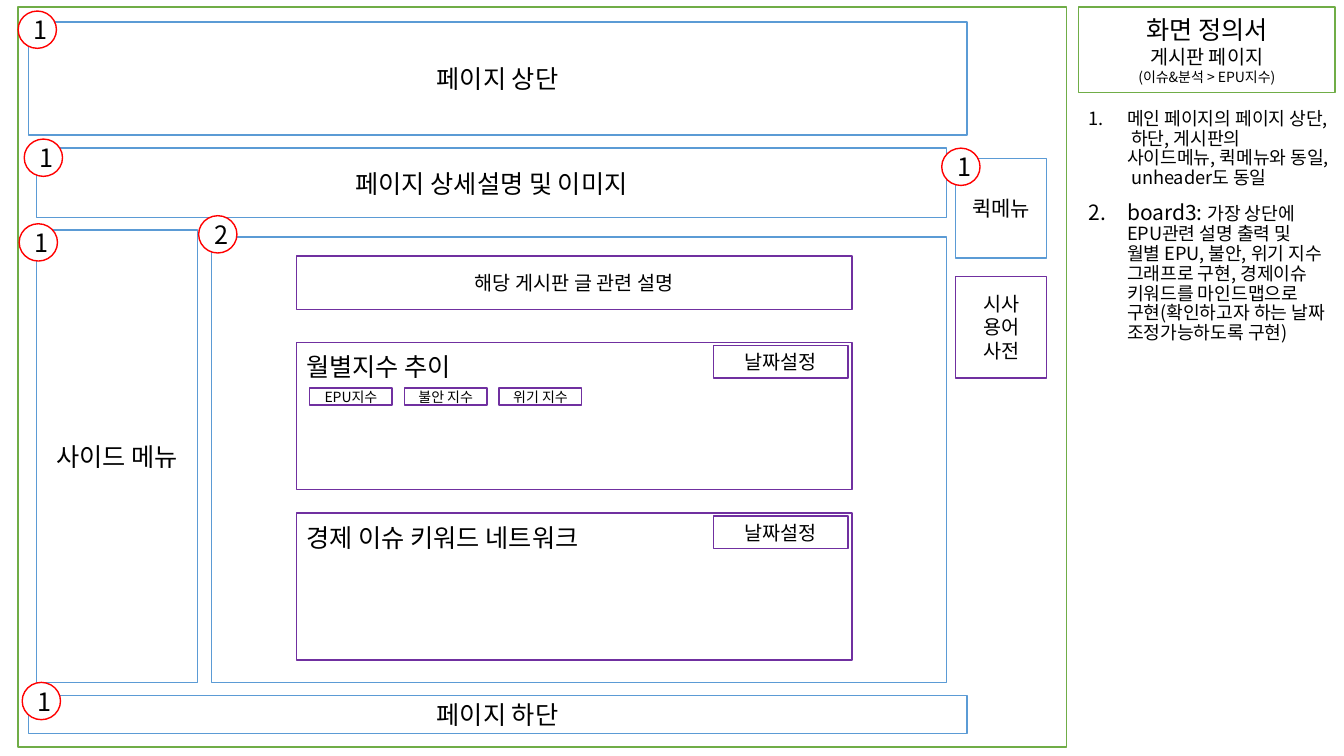
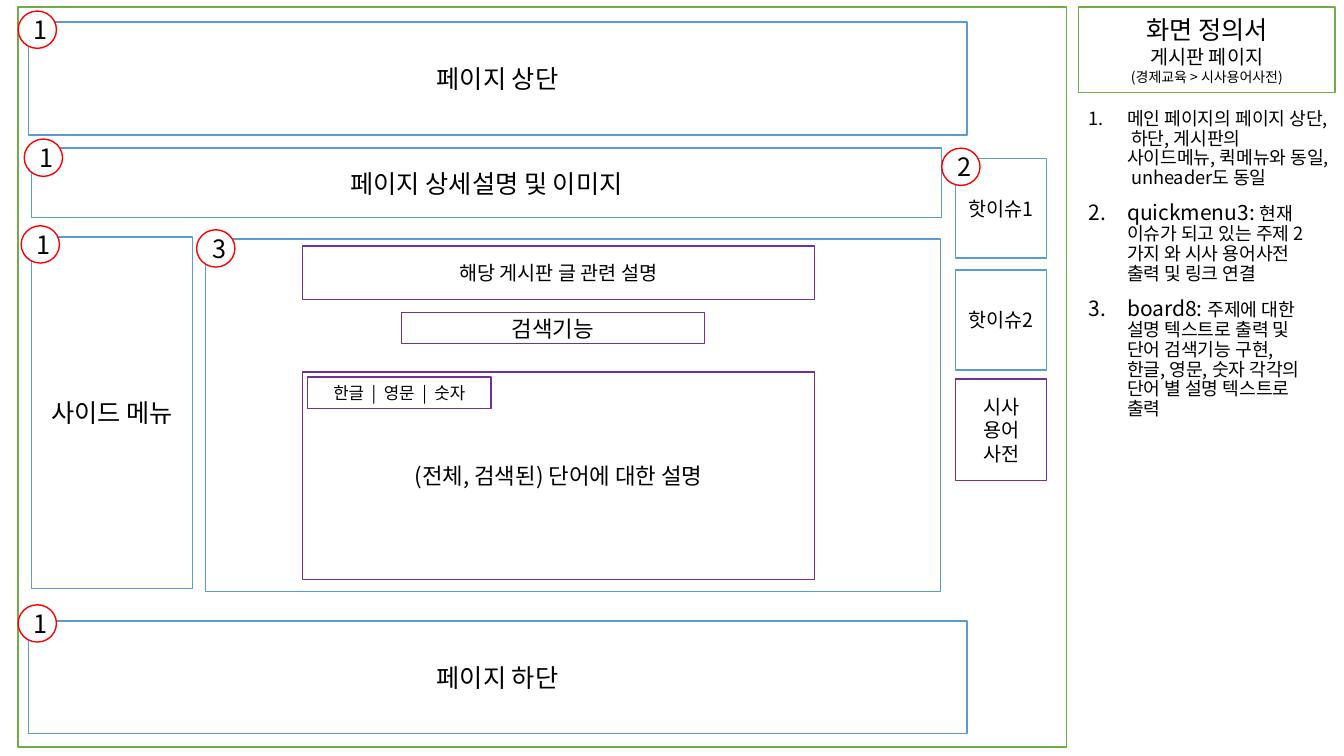
from lxml import etree
from pptx import Presentation
from pptx.dml.color import RGBColor
from pptx.enum.shapes import MSO_SHAPE
from pptx.enum.text import MSO_ANCHOR, PP_ALIGN
from pptx.oxml.ns import qn
from pptx.util import Inches, Pt

RECT, CIRCLE = MSO_SHAPE.RECTANGLE, MSO_SHAPE.FLOWCHART_CONNECTOR
TOP, MIDDLE = MSO_ANCHOR.TOP, MSO_ANCHOR.MIDDLE
LEFT, CENTER = PP_ALIGN.LEFT, PP_ALIGN.CENTER
WHITE = RGBColor(0xFF, 0xFF, 0xFF)
BLACK = RGBColor(0x00, 0x00, 0x00)
GREEN = RGBColor(0x70, 0xAD, 0x47)
BLUE = RGBColor(0x5B, 0x9B, 0xD5)
PURPLE = RGBColor(0x70, 0x30, 0xA0)
RED = RGBColor(0xFF, 0x00, 0x00)
FONT = "Noto Sans CJK KR"

COMMON_NOTE = [(13, "메인 페이지의 페이지 상단, 하단, 게시판의 사이드메뉴, 퀵메뉴와 동일, unheader도 동일")]


def style_paragraph(p, size=None, align=LEFT):
    p.alignment = align
    p.font.name = FONT
    p.font.color.rgb = BLACK
    if size:
        p.font.size = Pt(size)
    props = p._p.pPr.find(qn("a:defRPr"))
    etree.SubElement(props, qn("a:ea")).set("typeface", FONT)
    return props


def add_box(s, box, line, lines=(), align=CENTER, anchor=MIDDLE, shape=RECT):
    sp = s.shapes.add_shape(shape, *map(Inches, box))
    sp.shadow.inherit = False
    sp.fill.solid()
    sp.fill.fore_color.rgb = WHITE
    sp.line.color.rgb = line
    sp.line.width = Pt(1)
    tf = sp.text_frame
    tf.word_wrap = True
    tf.vertical_anchor = anchor
    for i, (size, text) in enumerate(lines):
        p = tf.paragraphs[0] if i == 0 else tf.add_paragraph()
        p.text = text
        style_paragraph(p, size, align)
    return sp


def add_badge(s, x, y, number):
    add_box(s, (x, y, 0.38, 0.37), RED, [(18, str(number))], shape=CIRCLE)


def add_notes(s, box, notes):
    tf = s.shapes.add_textbox(*map(Inches, box)).text_frame
    tf.word_wrap = True
    for i, runs in enumerate(notes):
        p = tf.paragraphs[0] if i == 0 else tf.add_paragraph()
        p.line_spacing = 0.9
        p.space_before = Pt(10)
        props = style_paragraph(p)
        p._p.pPr.set("marL", str(Inches(0.38)))
        p._p.pPr.set("indent", str(-Inches(0.38)))
        number = etree.Element(qn("a:buAutoNum"), type="arabicPeriod")
        props.addprevious(number)
        for size, text in runs:
            for j, part in enumerate(text.split("\n")):
                if j:
                    p.add_line_break()
                r = p.add_run()
                r.text = part
                r.font.size = Pt(size)


def add_definition(s, box, menu, notes):
    x, y, w, h = box
    add_box(s, (x, y, w, 0.85), GREEN,
            [(18, "화면 정의서"), (14, "게시판 페이지"), (10, menu)])
    add_notes(s, (x, y + 0.97, w, h - 0.97), notes)


def add_page(s, box, footer_top, banner_left, side, board):
    x, y, w, h = box
    add_box(s, box, GREEN)
    left, width = x + 0.1, 9.31
    add_box(s, (left, y + 0.15, width, 1.12), BLUE, [(18, "페이지 상단")])
    add_box(s, (left, footer_top, width, y + h - 0.13 - footer_top), BLUE,
            [(18, "페이지 하단")])
    add_box(s, (banner_left, y + 1.4, 9.03, 0.69), BLUE,
            [(18, "페이지 상세설명 및 이미지")])
    add_box(s, side, BLUE, [(18, "사이드 메뉴")])
    add_box(s, board, BLUE)


def add_quick_menu(s, x, y, items, glossary_top):
    for i, (size, text) in enumerate(items):
        add_box(s, (x, y + i * 1.11, 0.9, 0.99), BLUE, [(size, text)])
    add_box(s, (x, glossary_top, 0.9, 1.01), PURPLE, [(14, "시사 용어 사전")])


def add_description(s, box):
    add_box(s, box, PURPLE, [(14, "해당 게시판 글 관련 설명")])


def add_chart_panel(s, box, title, tabs=()):
    x, y, w, h = box
    panel = add_box(s, box, PURPLE, [(18, title)], LEFT, TOP)
    panel.text_frame.margin_top = Inches(0.09)
    add_box(s, (x + w - 1.37, y + 0.03, 1.33, 0.32), PURPLE, [(14, "날짜설정")])
    for i, tab in enumerate(tabs):
        add_box(s, (x + 0.13 + i * 0.94, y + 0.45, 0.82, 0.17), PURPLE, [(10, tab)])


def add_glossary_panel(s, box):
    x, y, w, h = box
    add_box(s, box, PURPLE, [(16, "(전체, 검색된) 단어에 대한 설명")])
    add_box(s, (x + 0.05, y + 0.05, 1.82, 0.31), PURPLE,
            [(12, "한글  |  영문  |  숫자")])


def add_screen(prs, menu, notes, **page):
    s = prs.slides.add_slide(prs.slide_layouts[6])
    add_page(s, (0.18, 0.07, 10.4, 7.34), **page)
    add_definition(s, (10.7, 0.07, 2.54, 7.2), menu, notes)
    return s


def index_slide(prs):
    notes = [COMMON_NOTE,
             [(15, "board3: "),
              (13, "가장 상단에 EPU관련 설명 출력 및 월별 EPU, 불안, 위기 지수 그래프로 구현, "
                   "경제이슈 키워드를 마인드맵으로 구현(확인하고자 하는 날짜 조정가능하도록 구현)")]]
    s = add_screen(prs, "(이슈&분석 > EPU지수)", notes,
                   footer_top=6.9, banner_left=0.36,
                   side=(0.36, 2.28, 1.6, 4.49), board=(2.1, 2.35, 7.29, 4.42))
    add_quick_menu(s, 9.48, 1.57, [(15, "퀵메뉴")], 2.74)
    add_description(s, (2.94, 2.54, 5.51, 0.53))
    add_chart_panel(s, (2.94, 3.4, 5.51, 1.46), "월별지수 추이",
                    ["EPU지수", "불안 지수", "위기 지수"])
    add_chart_panel(s, (2.94, 5.09, 5.51, 1.46), "경제 이슈 키워드 네트워크")
    for badge in [(0.18, 0.11, 1), (0.24, 1.38, 1), (0.19, 2.22, 1),
                  (0.22, 6.77, 1), (9.34, 1.47, 1), (1.97, 2.14, 2)]:
        add_badge(s, *badge)


def glossary_slide(prs):
    notes = [COMMON_NOTE,
             [(15, "quickmenu3: "),
              (13, "현재 이슈가 되고 있는 주제 2가지 와 시사 용어사전 출력 및 링크 연결")],
             [(15, "board8: "),
              (13, "주제에 대한 설명 텍스트로 출력 및 단어 검색기능 구현,\n"
                   "한글, 영문, 숫자 각각의 단어 별 설명 텍스트로 출력")]]
    s = add_screen(prs, "(경제교육 > 시사용어사전)", notes,
                   footer_top=6.16, banner_left=0.31,
                   side=(0.31, 2.35, 1.6, 3.49), board=(2.04, 2.37, 7.29, 3.5))
    add_quick_menu(s, 9.48, 1.57, [(14, "핫이슈1"), (14, "핫이슈2")], 3.76)
    add_description(s, (3, 2.44, 5.08, 0.53))
    add_box(s, (3.98, 3.1, 3.01, 0.31), PURPLE, [(16, "검색기능")])
    add_glossary_panel(s, (3, 3.69, 5.08, 2.06))
    for badge in [(0.18, 0.11, 1), (0.24, 1.38, 1), (0.21, 2.24, 1),
                  (0.18, 6, 1), (9.34, 1.47, 2), (1.95, 2.28, 3)]:
        add_badge(s, *badge)


def main():
    prs = Presentation()
    prs.slide_width = Inches(13.33)
    prs.slide_height = Inches(7.5)
    index_slide(prs)
    glossary_slide(prs)
    prs.save("out.pptx")


if __name__ == "__main__":
    main()
